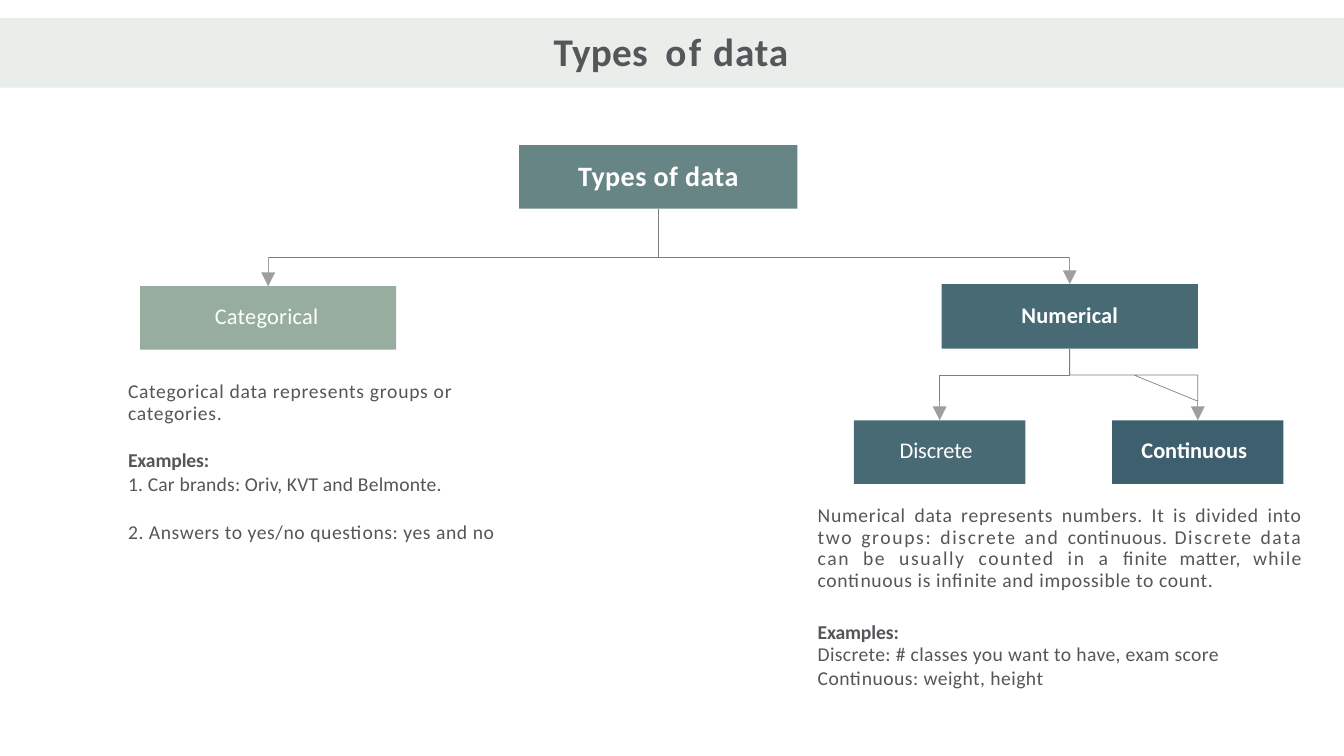
from dataclasses import dataclass

from lxml.etree import SubElement
from pptx import Presentation
from pptx.dml.color import RGBColor
from pptx.enum.shapes import MSO_CONNECTOR, MSO_SHAPE
from pptx.enum.text import MSO_ANCHOR, PP_ALIGN
from pptx.oxml.ns import qn
from pptx.util import Pt

PX = 9144  # EMU per px, 100 px to the inch
TOP = 0  # connection site of a rectangle


@dataclass(frozen=True)
class Theme:
    font: str = "Calibri"
    band: str = "EAEEEB"
    ink: str = "56555A"
    white: str = "FFFFFF"
    line: str = "7E7E7E"
    arrow: str = "9E9E9E"
    root: str = "688586"
    categorical: str = "96AD9F"
    numerical: str = "486A75"
    continuous: str = "3D5F6E"
    title_size: int = 28
    root_size: int = 20
    node_size: int = 16
    body_size: int = 14
    leading: float = 15.4
    line_width: float = 0.48


THEME = Theme()


def px(*lengths):
    return [length * PX for length in lengths]


def apply_format(target, values):
    for name, value in values.items():
        setattr(target, name, value)


def add_run(paragraph, text, size, color, bold=False, spacing=0):
    run = paragraph.add_run()
    run.text = text
    apply_format(run.font, {"name": THEME.font, "size": Pt(size), "bold": bold})
    run.font.color.rgb = RGBColor.from_string(color)
    run.font._element.set("spc", str(round(spacing * 100)))


def prepare_frame(frame, anchor, right=0, bottom=0):
    apply_format(frame, {
        "word_wrap": True, "vertical_anchor": anchor, "margin_left": 0, "margin_top": 0,
        "margin_right": right * PX, "margin_bottom": bottom * PX,
    })


def fill_solid(shape, color):
    shape.fill.solid()
    shape.fill.fore_color.rgb = RGBColor.from_string(color)


def set_title(slide, width):
    """The title fills the pale band across the slide."""
    title = slide.shapes.title
    apply_format(title, dict(zip(("left", "top", "width", "height"), px(0, 18, width, 69))))
    fill_solid(title, THEME.band)
    prepare_frame(title.text_frame, MSO_ANCHOR.MIDDLE, right=2, bottom=5)
    heading = title.text_frame.paragraphs[0]
    heading.alignment = PP_ALIGN.CENTER
    for text, spacing in (("Types", 0.2), (" ", 6), ("of", 1.7), (" data", 0.6)):
        add_run(heading, text, THEME.title_size, THEME.ink, True, spacing)


def add_node(slide, label, box, color, size=THEME.node_size, bold=True, spacing=0, right=0):
    node = slide.shapes.add_shape(MSO_SHAPE.RECTANGLE, *px(*box))
    node.shadow.inherit = False
    fill_solid(node, color)
    node.line.fill.background()
    prepare_frame(node.text_frame, MSO_ANCHOR.MIDDLE, right, bottom=4)
    caption = node.text_frame.paragraphs[0]
    caption.alignment = PP_ALIGN.CENTER
    add_run(caption, label, size, THEME.white, bold, spacing)
    return node


def style_line(shape, color):
    shape.line.color.rgb = RGBColor.from_string(color)
    shape.line.width = Pt(THEME.line_width)


def add_bent_line(slide, points):
    start, *corners = points
    builder = slide.shapes.build_freeform(*start)
    builder.add_line_segments(corners, close=False)
    bent = builder.convert_to_shape()
    bent.shadow.inherit = False
    bent.fill.background()
    style_line(bent, THEME.line)


def add_arrow(slide, start_y, child):
    x = child.left + child.width // 2
    arrow = slide.shapes.add_connector(MSO_CONNECTOR.STRAIGHT, x, start_y, x, child.top)
    arrow.end_connect(child, TOP)
    style_line(arrow, THEME.arrow)
    SubElement(arrow.line._get_or_add_ln(), qn("a:tailEnd"), type="triangle", w="lg", len="lg")
    SubElement(arrow._element.spPr, qn("a:effectLst"))


def add_branch(slide, parent, child, bar_y, arrow_y, spur=False):
    """Bent line from the parent to the arrow that enters the child."""
    bar, arrow_start = px(bar_y, arrow_y)
    center = parent.left + parent.width // 2
    x = child.left + child.width // 2
    points = [(center, parent.top + parent.height), (center, bar), (x, bar), (x, arrow_start)]
    if spur:  # slanted stroke back to the middle of the bar
        middle = ((center + x) // 2, bar)
        points += [middle]
    add_bent_line(slide, points if arrow_y > bar_y else points[:3])
    add_arrow(slide, arrow_start, child)


def add_text(slide, box, paragraphs, align=PP_ALIGN.LEFT):
    """Each paragraph is its space before and a list of (text, bold, spacing)."""
    frame = slide.shapes.add_textbox(*px(*box)).text_frame
    prepare_frame(frame, MSO_ANCHOR.TOP)
    for index, (before, runs) in enumerate(paragraphs):
        paragraph = frame.add_paragraph() if index else frame.paragraphs[0]
        apply_format(paragraph, {
            "alignment": align, "line_spacing": Pt(THEME.leading), "space_before": Pt(before),
        })
        for text, bold, spacing in runs:
            add_run(paragraph, text, THEME.body_size, THEME.ink, bold, spacing)


def main():
    deck = Presentation()
    slide_width, slide_height = 1333, 750
    deck.slide_width, deck.slide_height = px(slide_width, slide_height)
    slide = deck.slides.add_slide(deck.slide_layouts[5])
    set_title(slide, slide_width)

    # Tree of data types
    root = add_node(slide, "Types of data", (515, 144, 276, 63), THEME.root,
                    THEME.root_size, spacing=0.3)
    categorical = add_node(slide, "Categorical", (139, 284, 254, 63), THEME.categorical,
                           bold=False, spacing=0.2, right=3)
    numerical = add_node(slide, "Numerical", (934, 282, 254, 64), THEME.numerical, spacing=0.1)
    discrete = add_node(slide, "Discrete", (847, 417, 170, 63), THEME.numerical,
                        bold=False, spacing=-0.1, right=7)
    continuous = add_node(slide, "Continuous", (1103, 417, 170, 63), THEME.continuous, right=7)
    add_branch(slide, root, numerical, 255, 255)
    add_branch(slide, root, categorical, 255, 255)
    add_branch(slide, numerical, discrete, 372, 398)
    add_branch(slide, numerical, continuous, 372, 398, spur=True)

    # Categorical data
    add_text(slide, (127, 378, 350, 43), [
        (0, [("Categorical data represents groups or categories.", False, 0.5)]),
    ])
    add_text(slide, (127, 446, 400, 93), [
        (0, [("Examples:", True, -0.1)]),
        (2.3, [("1. Car brands: Oriv, KVT and Belmonte.", False, 0.1)]),
        (18.4, [("2. Answers to yes/no questions: yes and no", False, 0.4)]),
    ])

    # Numerical data
    add_text(slide, (811, 501, 481, 91), [
        (0, [
            ("Numerical data represents numbers. It is divided into ", False, 0.5),
            ("two groups: discrete and ", False, 1.2),
            ("continuous. ", False, 0.4),
            ("Discrete data ", False, 1.2),
            ("can be usually counted in a ", False, 1.1),
            ("finite matter, ", False, 0.4),
            ("while ", False, 0.9),
            ("continuous is infinite and impossible to count.", False, 0.45),
        ]),
    ], PP_ALIGN.JUSTIFY)
    add_text(slide, (811, 617, 406, 69), [
        (0, [("Examples:", True, -0.1)]),
        (0, [("Discrete: # classes you want to have, exam score", False, 0.25)]),
        (1.8, [("Continuous: weight, height", False, 0.3)]),
    ])

    deck.save("out.pptx")


if __name__ == "__main__":
    main()
